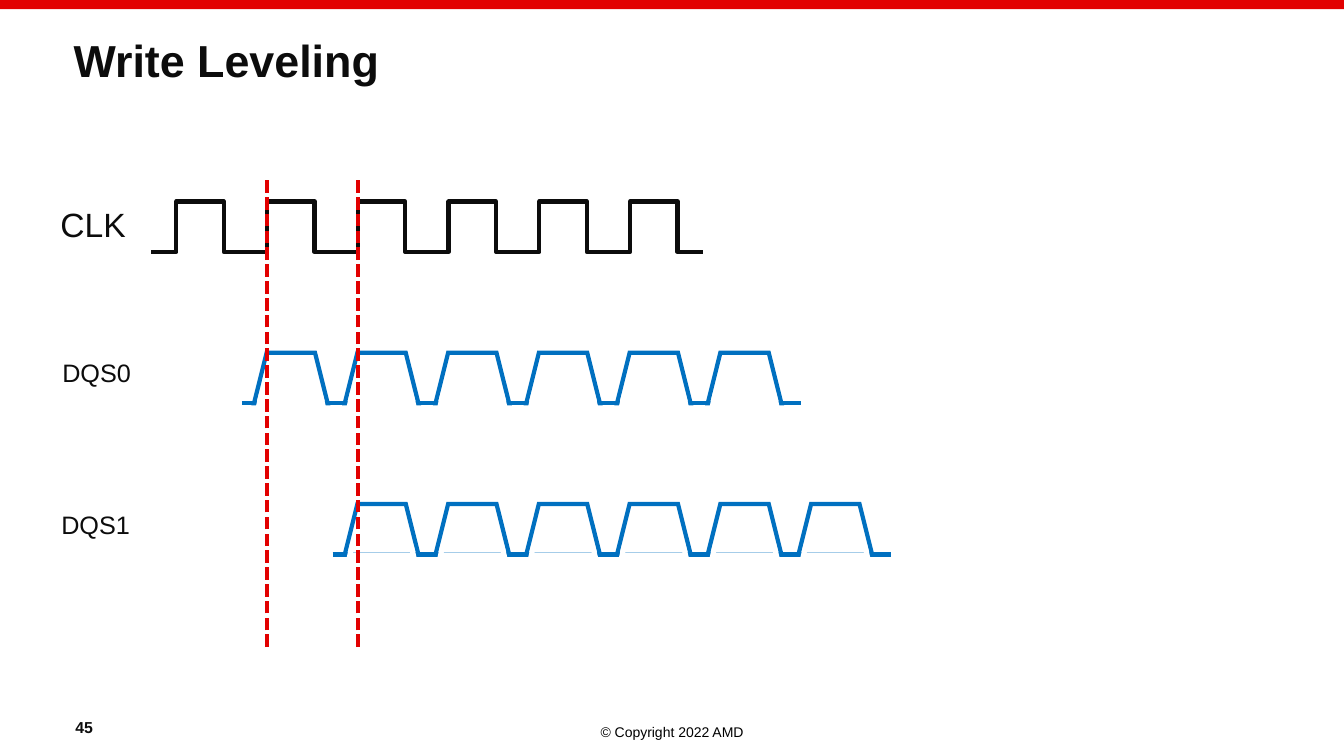
from lxml.etree import SubElement
from pptx import Presentation
from pptx.dml.color import RGBColor
from pptx.enum.dml import MSO_LINE
from pptx.enum.shapes import MSO_CONNECTOR, MSO_SHAPE
from pptx.enum.text import MSO_ANCHOR, MSO_AUTO_SIZE, PP_ALIGN
from pptx.oxml.ns import qn
from pptx.util import Inches, Pt

SLIDE_WIDTH = 13.33
SLIDE_HEIGHT = 7.5
CYCLE = 0.9
ROW = 1.5
PULSE_COUNT = 6
PULSE_HEIGHT = 0.5
LINE_WIDTH = Pt(3)
FONT = "Arial"

RED = RGBColor(0xE2, 0x00, 0x00)
INK = RGBColor(0x0C, 0x0C, 0x0C)
BLACK = RGBColor(0x00, 0x00, 0x00)
BLUE = RGBColor(0x00, 0x70, 0xC0)
WHITE = RGBColor(0xFF, 0xFF, 0xFF)


def add_run(paragraph, text, size, color=INK, bold=False):
    run = paragraph.add_run()
    run.text = text
    run.font.name = FONT
    run.font.size = Pt(size)
    run.font.bold = bold
    run.font.color.rgb = color


def add_text(slide, box, text, size, color=INK, bold=False,
             alignment=PP_ALIGN.LEFT, anchor=MSO_ANCHOR.TOP):
    shape = slide.shapes.add_textbox(*map(Inches, box))
    text_frame = shape.text_frame
    text_frame.word_wrap = True
    text_frame.vertical_anchor = anchor
    paragraph = text_frame.paragraphs[0]
    paragraph.alignment = alignment
    add_run(paragraph, text, size, color, bold)


def add_filled_rectangle(shapes, box, color, rotation=0):
    shape = shapes.add_shape(MSO_SHAPE.RECTANGLE, *map(Inches, box))
    shape.shadow.inherit = False
    shape.fill.solid()
    shape.fill.fore_color.rgb = color
    shape.line.fill.background()
    shape.rotation = rotation


def add_line(shapes, kind, begin, end, color):
    connector = shapes.add_connector(kind, *map(Inches, begin + end))
    connector.line.color.rgb = color
    connector.line.width = LINE_WIDTH
    SubElement(connector._element.spPr, qn("a:effectLst"))
    return connector


def add_header(slide, box):
    left, top, width, height = box
    add_filled_rectangle(slide.shapes, (left, top, width, 0.09), RED)

    title = slide.shapes.title
    title.left, title.top = Inches(left + 0.63), Inches(top + 0.33)
    title.width, title.height = Inches(width - 1.26), Inches(height - 0.33)
    text_frame = title.text_frame
    text_frame.auto_size = MSO_AUTO_SIZE.NONE
    text_frame.vertical_anchor = MSO_ANCHOR.TOP
    paragraph = text_frame.paragraphs[0]
    paragraph.alignment = PP_ALIGN.LEFT
    paragraph.line_spacing = 0.9
    add_run(paragraph, "Write Leveling", 32, bold=True)


def add_footer(slide, box):
    left, top, width, height = box
    add_text(slide, (left, top + 0.17, width, 0.27), "© Copyright 2022 AMD", 10,
             color=BLACK, alignment=PP_ALIGN.CENTER)
    add_text(slide, (left + 0.65, top, 1.07, height), "45", 11.3, bold=True,
             anchor=MSO_ANCHOR.BOTTOM)


def add_clock_pulse(shapes, left, top):
    low = top + PULSE_HEIGHT
    for begin, end in ((0.47, 0.97), (0.5, 0)):
        add_line(shapes, MSO_CONNECTOR.ELBOW,
                 (left + begin, top), (left + end, low), INK)


def add_strobe_pulse(shapes, left, top):
    low = top + PULSE_HEIGHT
    add_line(shapes, MSO_CONNECTOR.STRAIGHT, (left, low), (left + 1.04, low), BLUE)
    trapezoid = shapes.add_shape(
        MSO_SHAPE.TRAPEZOID, Inches(left + 0.12), Inches(top),
        Inches(0.73), Inches(PULSE_HEIGHT))
    trapezoid.shadow.inherit = False
    trapezoid.fill.background()
    trapezoid.line.color.rgb = BLUE
    trapezoid.line.width = LINE_WIDTH
    outline = trapezoid._element.spPr.find(qn("a:ln"))
    SubElement(outline, qn("a:miter")).set("lim", "800000")
    for offset, width, height, rotation in (
            (0.15, 0.67, 0.14, 0), (0.06, 0.22, 0.05, 104), (0.69, 0.22, 0.05, 255.5)):
        add_filled_rectangle(
            shapes, (left + offset, low - 0.02, width, height), WHITE, rotation)


def add_waveform(slide, left, top, add_pulse):
    group = slide.shapes.add_group_shape()
    for pulse in range(PULSE_COUNT):
        add_pulse(group.shapes, left + pulse * CYCLE, top)


def add_timing_diagram(slide, box):
    left, top, width, height = box
    wave_left = left + 1
    first_row = top + 0.23
    signals = [
        ("CLK", 24, (0, -0.03, 5.01, 0.5), add_clock_pulse),
        ("DQS0", 18, (0.02, 0, 0.93, 0.4), add_strobe_pulse),
        ("DQS1", 18, (0.01, 0, 0.93, 0.4), add_strobe_pulse),
    ]
    for index, (name, size, label, add_pulse) in enumerate(signals):
        row_top = first_row + index * ROW
        shift_x, shift_y, label_width, label_height = label
        add_waveform(slide, wave_left + index * CYCLE, row_top, add_pulse)
        add_text(slide, (left + shift_x, row_top + shift_y, label_width, label_height),
                 name, size)
    for cycle in (1, 2):
        edge = wave_left + 0.25 + cycle * CYCLE
        marker = add_line(slide.shapes, MSO_CONNECTOR.STRAIGHT,
                          (edge, top + height), (edge, top), RED)
        marker.line.dash_style = MSO_LINE.SQUARE_DOT


def main():
    presentation = Presentation()
    presentation.slide_width = Inches(SLIDE_WIDTH)
    presentation.slide_height = Inches(SLIDE_HEIGHT)
    slide = presentation.slides.add_slide(presentation.slide_layouts[5])
    add_header(slide, (0, 0, SLIDE_WIDTH, 0.97))
    add_timing_diagram(slide, (0.5, 1.77, 8.34, 4.65))
    add_footer(slide, (0, 6.96, SLIDE_WIDTH, 0.4))
    presentation.save("out.pptx")


if __name__ == "__main__":
    main()
